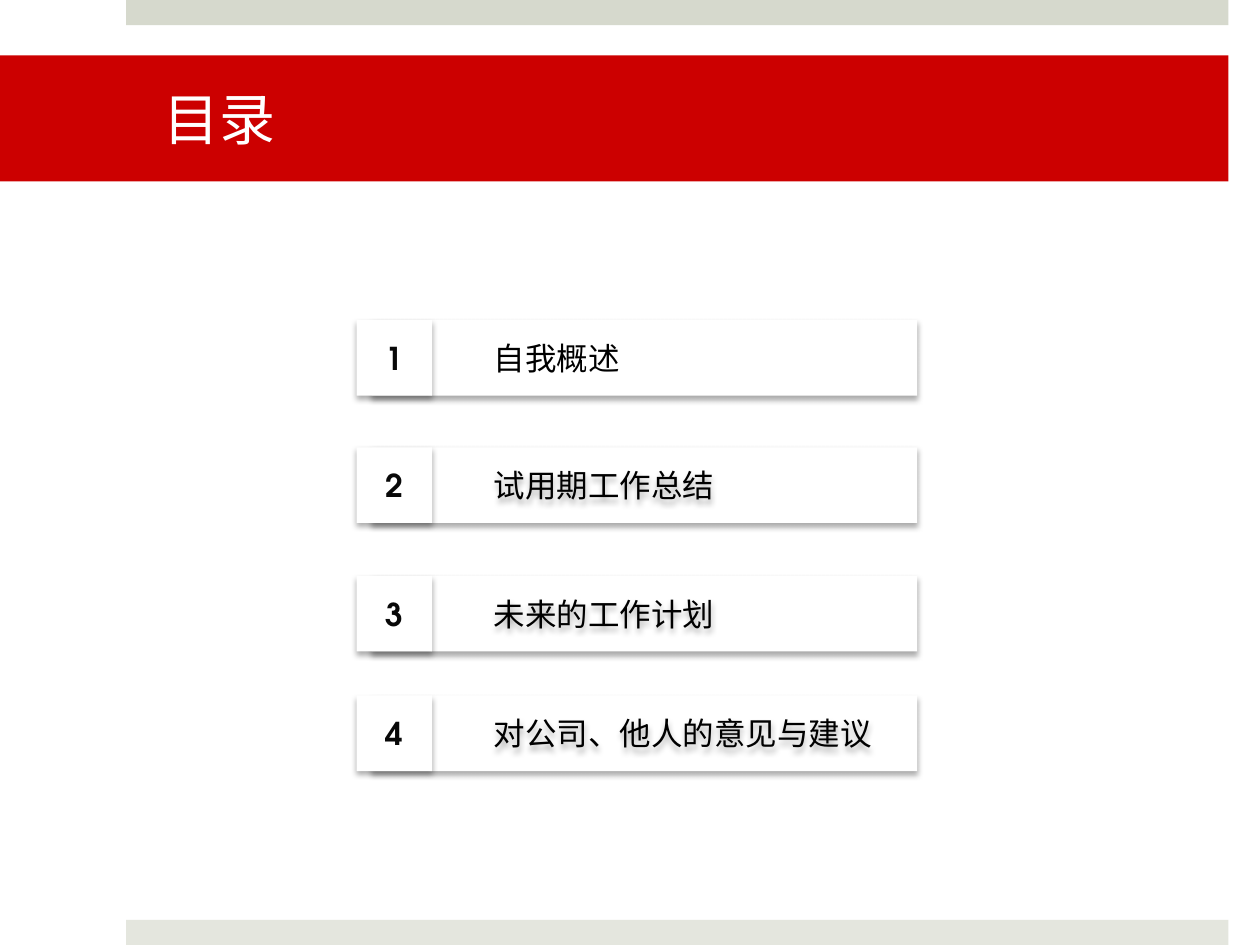
from dataclasses import dataclass

import lxml.etree
import pptx
import pptx.dml.color
import pptx.enum.shapes
import pptx.enum.text
import pptx.oxml.ns
import pptx.util

Inches = pptx.util.Inches
Align = pptx.enum.text.PP_ALIGN
Anchor = pptx.enum.text.MSO_ANCHOR


@dataclass(frozen=True)
class Theme:
    font: str = "TeX Gyre Adventor"
    title_size: int = 32
    body_size: int = 18
    banner: str = "CC0000"
    top_bar: str = "D6D9CD"
    bottom_bar: str = "E4E6DE"
    white: str = "FFFFFF"
    number: str = "080808"
    label: str = "000000"
    shadow: str = "000000"


@dataclass(frozen=True)
class AgendaItem:
    text: str
    top: float
    label_width: float = 2.6
    label_shadow: bool = True


THEME = Theme()
SLIDE_WIDTH, SLIDE_HEIGHT = 10, 7.5
RIGHT_EDGE = 9.75
BAR_LEFT, BAR_HEIGHT = 1, 0.2
ROW_HEIGHT = 0.6
NUMBER_LEFT, PANEL_LEFT, PANEL_WIDTH = 2.83, 2.95, 4.33
LABEL_LEFT, LABEL_HEIGHT = 3.82, 0.4

AGENDA = (
    AgendaItem("自我概述", 2.54, label_shadow=False),
    AgendaItem("试用期工作总结", 3.55),
    AgendaItem("未来的工作计划", 4.57),
    AgendaItem("对公司、他人的意见与建议", 5.52, label_width=3.33),
)


def rgb(value: str) -> pptx.dml.color.RGBColor:
    return pptx.dml.color.RGBColor.from_string(value)


def add_rectangle(shapes, left: float, top: float, width: float, height: float, color: str):
    shape = shapes.add_shape(
        pptx.enum.shapes.MSO_SHAPE.RECTANGLE,
        Inches(left), Inches(top), Inches(width), Inches(height),
    )
    shape.shadow.inherit = False
    shape.fill.solid()
    shape.fill.fore_color.rgb = rgb(color)
    shape.line.fill.background()
    return shape


def add_shadow(shape) -> None:
    """Give the shape a soft shadow that falls straight down."""
    qn = pptx.oxml.ns.qn
    shape.shadow.inherit = False
    effects = shape.element.spPr.find(qn("a:effectLst"))
    shadow = lxml.etree.SubElement(
        effects, qn("a:outerShdw"),
        blurRad=str(pptx.util.Pt(3.5)), dist=str(pptx.util.Pt(2.2)),
        dir=str(90 * 60000), algn="t", rotWithShape="0",
    )
    color = lxml.etree.SubElement(shadow, qn("a:srgbClr"), val=THEME.shadow)
    lxml.etree.SubElement(color, qn("a:alpha"), val="32000")


def write(shape, text: str, size: int, color: str, align=Align.LEFT, bold: bool = False) -> None:
    paragraph = shape.text_frame.paragraphs[0]
    paragraph.alignment = align
    run = paragraph.add_run()
    run.text = text
    run.font.name = THEME.font
    run.font.size = pptx.util.Pt(size)
    run.font.bold = bold
    run.font.color.rgb = rgb(color)


def add_title(slide, text: str) -> None:
    title = slide.shapes.title
    title.left, title.top = Inches(0), Inches(0.44)
    title.width, title.height = Inches(RIGHT_EDGE), Inches(1)
    title.fill.solid()
    title.fill.fore_color.rgb = rgb(THEME.banner)
    frame = title.text_frame
    frame.margin_left, frame.margin_right = Inches(1.3), Inches(0.3)
    frame.vertical_anchor = Anchor.MIDDLE
    write(title, text, THEME.title_size, THEME.white)


def add_agenda_item(slide, number: int, item: AgendaItem) -> None:
    # Panel with its number tile
    group = slide.shapes.add_group_shape()
    panel = add_rectangle(group.shapes, PANEL_LEFT, item.top, PANEL_WIDTH, ROW_HEIGHT, THEME.white)
    tile = add_rectangle(group.shapes, NUMBER_LEFT, item.top, ROW_HEIGHT, ROW_HEIGHT, THEME.white)
    add_shadow(panel)
    add_shadow(tile)
    tile.text_frame.word_wrap = False
    tile.text_frame.vertical_anchor = Anchor.MIDDLE
    write(tile, str(number), THEME.body_size, THEME.number, Align.CENTER, bold=True)

    # Label
    label_top = item.top + (ROW_HEIGHT - LABEL_HEIGHT) / 2
    label = slide.shapes.add_textbox(
        Inches(LABEL_LEFT), Inches(label_top), Inches(item.label_width), Inches(LABEL_HEIGHT)
    )
    label.text_frame.word_wrap = True
    label.text_frame.auto_size = pptx.enum.text.MSO_AUTO_SIZE.SHAPE_TO_FIT_TEXT
    write(label, item.text, THEME.body_size, THEME.label)
    if item.label_shadow:
        add_shadow(label)


def main() -> None:
    presentation = pptx.Presentation()
    presentation.slide_width = Inches(SLIDE_WIDTH)
    presentation.slide_height = Inches(SLIDE_HEIGHT)
    slide = presentation.slides.add_slide(presentation.slide_layouts.get_by_name("Title Only"))

    # Bars along the top and bottom edges
    for top, color in ((0, THEME.top_bar), (SLIDE_HEIGHT - BAR_HEIGHT, THEME.bottom_bar)):
        add_rectangle(slide.shapes, BAR_LEFT, top, RIGHT_EDGE - BAR_LEFT, BAR_HEIGHT, color)

    add_title(slide, "目录")
    for number, item in enumerate(AGENDA, start=1):
        add_agenda_item(slide, number, item)

    presentation.save("out.pptx")


main()
